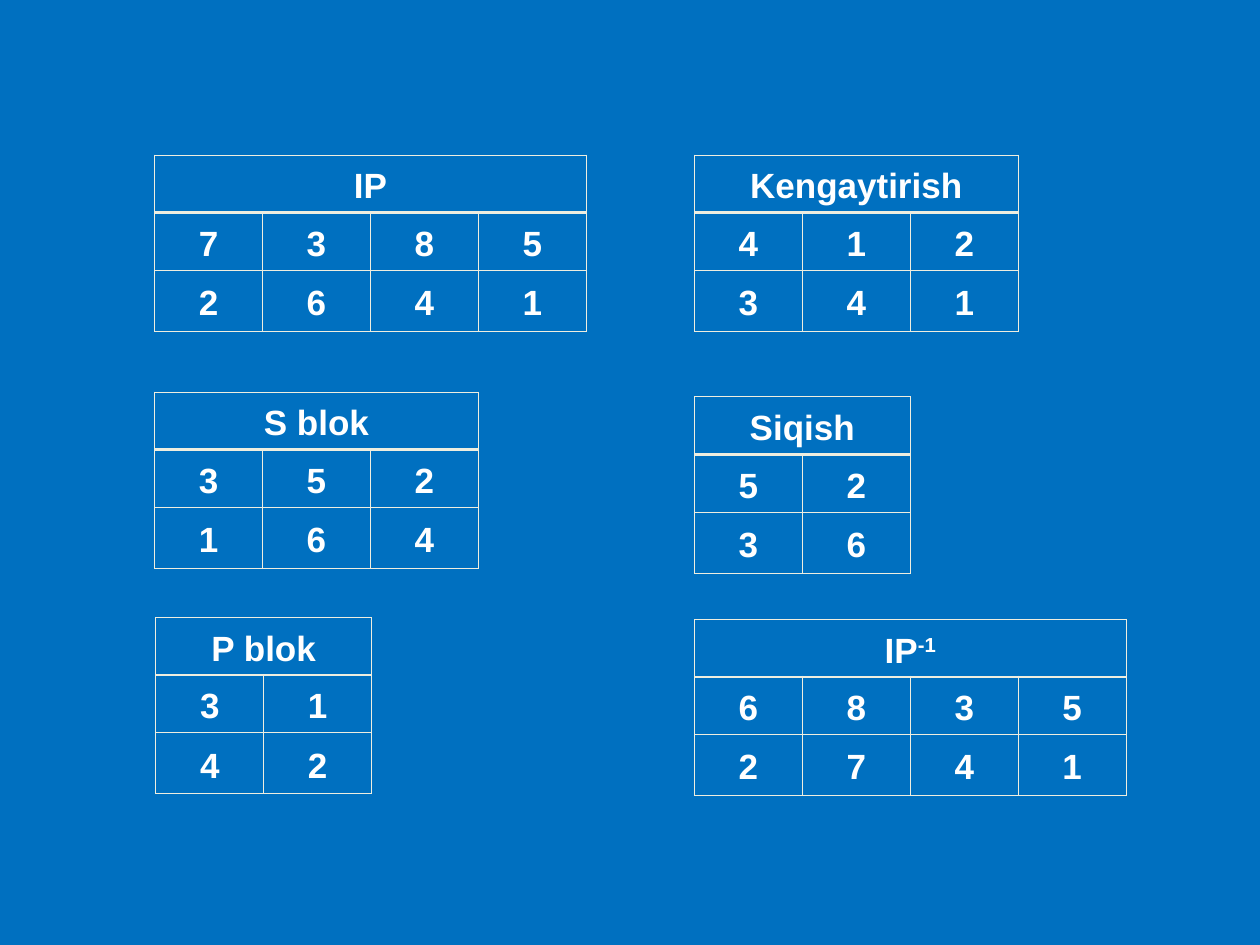
import pptx
import pptx.dml.color
import pptx.enum.text
import pptx.oxml
import pptx.oxml.ns
import pptx.util

Pt = pptx.util.Pt
COLUMN_WIDTH = 61.7
LEFT_COLUMN = 88.3
RIGHT_COLUMN = LEFT_COLUMN + 5 * COLUMN_WIDTH
HEADER_HEIGHT = 31
DIGIT_HEIGHTS = [31, 34.8]
THIN, THICK = 0.45, 1.47

PERMUTATIONS = [
    (LEFT_COLUMN, 88.6, 32.4, "IP", "", ["7385", "2641"]),
    (RIGHT_COLUMN, 88.6, HEADER_HEIGHT, "Kengaytirish", "", ["412", "341"]),
    (LEFT_COLUMN, 224, HEADER_HEIGHT, "S blok", "", ["352", "164"]),
    (RIGHT_COLUMN, 226.6, 33.1, "Siqish", "", ["52", "36"]),
    (LEFT_COLUMN + 0.7, 352.8, HEADER_HEIGHT, "P blok", "", ["31", "42"]),
    (RIGHT_COLUMN, 353.8, HEADER_HEIGHT, "IP", "-1", ["6835", "2741"]),
]


def rgb(value):
    return pptx.dml.color.RGBColor.from_string(value)


def set_borders(cell, top, bottom):
    properties = cell._tc.get_or_add_tcPr()
    widths = {"lnL": THIN, "lnR": THIN, "lnT": top, "lnB": bottom}
    for position, (side, width) in enumerate(widths.items()):
        border = pptx.oxml.parse_xml(
            f'<a:{side} {pptx.oxml.ns.nsdecls("a")} w="{int(Pt(width))}">'
            '<a:solidFill><a:srgbClr val="EEEEE0"/></a:solidFill>'
            f"</a:{side}>"
        )
        properties.insert(position, border)


def format_cell(cell, top, bottom):
    cell.fill.background()
    cell.vertical_anchor = pptx.enum.text.MSO_ANCHOR.MIDDLE
    cell.margin_left = cell.margin_right = Pt(5.2)
    cell.margin_top = cell.margin_bottom = Pt(3.6)
    set_borders(cell, top, bottom)


def write_text(cell, text, exponent=""):
    paragraph = cell.text_frame.paragraphs[0]
    paragraph.alignment = pptx.enum.text.PP_ALIGN.CENTER
    paragraph.line_spacing = 1.15
    paragraph.font.name = "Arial"
    paragraph.font.size = Pt(20)
    paragraph.font.bold = True
    paragraph.font.color.rgb = rgb("FFFFFF")
    paragraph.add_run().text = text
    if exponent:
        superscript = paragraph.add_run()
        superscript.text = exponent
        superscript._r.get_or_add_rPr().set("baseline", "30000")


def add_permutation(slide, left, top, header_height, title, exponent, digits):
    columns = len(digits[0])
    heights = [header_height, *DIGIT_HEIGHTS]
    table = slide.shapes.add_table(
        len(heights), columns, Pt(left), Pt(top),
        Pt(columns * COLUMN_WIDTH), Pt(sum(heights)),
    ).table
    table.first_row = False
    table.horz_banding = False
    for column in table.columns:
        column.width = Pt(COLUMN_WIDTH)
    for row, height in zip(table.rows, heights):
        row.height = Pt(height)

    edges = [THIN, THICK, THIN, THIN]
    for index, row in enumerate(table.rows):
        for cell in row.cells:
            format_cell(cell, edges[index], edges[index + 1])

    header = table.cell(0, 0)
    header.merge(table.cell(0, columns - 1))
    write_text(header, title, exponent)
    for row_index, line in enumerate(digits, start=1):
        for column_index, digit in enumerate(line):
            write_text(table.cell(row_index, column_index), digit)


def main():
    presentation = pptx.Presentation()
    presentation.slide_width = Pt(720)
    presentation.slide_height = Pt(540)
    slide = presentation.slides.add_slide(presentation.slide_layouts[6])
    slide.background.fill.solid()
    slide.background.fill.fore_color.rgb = rgb("0070C0")
    for permutation in PERMUTATIONS:
        add_permutation(slide, *permutation)
    presentation.save("out.pptx")


if __name__ == "__main__":
    main()
